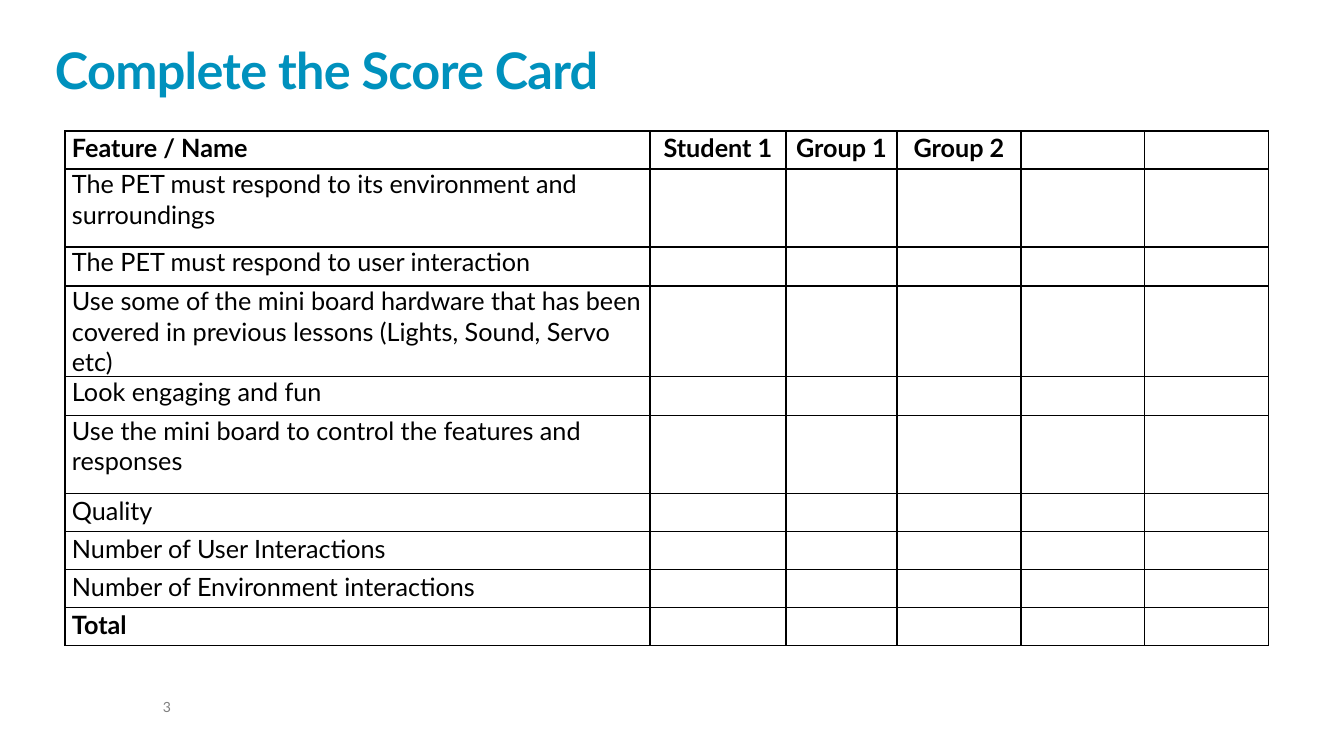
"""Build the score card slide."""
from dataclasses import dataclass

from lxml import etree
from pptx import Presentation
from pptx.dml.color import RGBColor
from pptx.enum.text import MSO_ANCHOR, PP_ALIGN
from pptx.oxml.ns import qn
from pptx.util import Pt

EMU_PER_PX = 914400 / 100.8
LEFT, CENTER = PP_ALIGN.LEFT, PP_ALIGN.CENTER
TOP, BOTTOM = MSO_ANCHOR.TOP, MSO_ANCHOR.BOTTOM

COLS = [585, 136, 111, 124, 124, 124]
HEADINGS = ["Feature / Name", "Student 1", "Group 1", "Group 2"]
FEATURES = [
    ("The PET must respond to its environment and surroundings", 78, 1.0),
    ("The PET must respond to user interaction", 39, 1.0),
    ("Use some of the mini board hardware that has been covered in previous "
     "lessons (Lights, Sound, Servo etc)", 72, 1.0),
    ("Look engaging and fun", 39, 1.0),
    ("Use the mini board to control the features and responses", 78, 1.0),
    ("Quality", 38, 1.07),
    ("Number of User Interactions", 38, 1.07),
    ("Number of Environment interactions", 38, 1.07),
    ("Total", 38, 1.07),
]


@dataclass(frozen=True)
class Theme:
    """Colours, font and type sizes of the deck."""
    font: str = "Lato"
    title: str = "0091BD"
    ink: str = "000000"
    muted: str = "7F7F7F"
    paper: str = "FFFFFF"
    title_size: int = 36
    body_size: int = 18
    number_size: int = 10
    border: int = 1


def px(n):
    """Turn pixels into EMU."""
    return round(n * EMU_PER_PX)


class Deck:
    """Holds the theme and the current slide."""

    def __init__(self, theme, width, height):
        """Open a presentation with one blank slide."""
        self.theme = theme
        self.prs = Presentation()
        self.prs.slide_width, self.prs.slide_height = px(width), px(height)
        self.s = self.prs.slides.add_slide(self.prs.slide_layouts[6])
        fill = self.s.background.fill
        fill.solid()
        fill.fore_color.rgb = RGBColor.from_string(theme.paper)

    def style(self, p, size, color, bold=False, align=LEFT, spacing=1.0, after=0):
        """Set the font and spacing of a paragraph."""
        p.alignment, p.line_spacing = align, spacing
        p.space_before, p.space_after = Pt(0), Pt(after)
        f = p.font
        f.name, f.size, f.bold = self.theme.font, Pt(size), bold
        f.color.rgb = RGBColor.from_string(color)

    def text(self, box, text, size, color, anchor=TOP, tracking=0, **style):
        """Add a text box without margins."""
        tf = self.s.shapes.add_textbox(*map(px, box)).text_frame
        tf.word_wrap, tf.vertical_anchor = True, anchor
        tf.margin_left = tf.margin_right = tf.margin_top = tf.margin_bottom = 0
        p = tf.paragraphs[0]
        r = p.add_run()
        r.text = text
        if tracking:
            r._r.get_or_add_rPr().set("spc", str(tracking))
        self.style(p, size, color, **style)

    def borders(self, cell):
        """Draw a solid line on all four sides of a cell."""
        tcPr = cell._tc.get_or_add_tcPr()
        for i, side in enumerate(("a:lnL", "a:lnR", "a:lnT", "a:lnB")):
            ln = etree.Element(qn(side), w=str(Pt(self.theme.border)))
            fill = etree.SubElement(ln, qn("a:solidFill"))
            etree.SubElement(fill, qn("a:srgbClr"), val=self.theme.ink)
            tcPr.insert(i, ln)

    def cell(self, cell, text, **style):
        """Fill, frame and write one table cell."""
        cell.fill.background()
        cell.margin_left = cell.margin_right = px(7)
        cell.margin_top = cell.margin_bottom = 0
        self.borders(cell)
        p = cell.text_frame.paragraphs[0]
        if text:
            p.add_run().text = text
        self.style(p, self.theme.body_size, self.theme.ink, **style)

    def table(self, left, top, cols, rows):
        """Add a table from rows of (texts, height, line spacing)."""
        height = sum(row[1] for row in rows)
        box = map(px, (left, top, sum(cols), height))
        table = self.s.shapes.add_table(len(rows), len(cols), *box).table
        table.horz_banding = False
        for col, width in zip(table.columns, cols):
            col.width = px(width)
        last = len(rows) - 1
        for i, (texts, row_height, spacing) in enumerate(rows):
            table.rows[i].height = px(row_height)
            for j in range(len(cols)):
                self.cell(table.cell(i, j), texts[j] if j < len(texts) else "",
                          bold=i in (0, last), align=CENTER if j else LEFT,
                          spacing=spacing, after=8 if i == last and j == 0 else 0)


def main():
    """Build and save the slide."""
    theme = Theme()
    deck = Deck(theme, 1344, 756)
    deck.text((163, 700, 120, 15), "3", theme.number_size, theme.muted,
              spacing=0.9, after=6)
    deck.text((55, 26, 1233, 74), "Complete the Score Card", theme.title_size,
              theme.title, anchor=BOTTOM, tracking=-50, bold=True, spacing=0.85)
    rows = [(HEADINGS, 38, 1.07)]
    rows += [([text], height, spacing) for text, height, spacing in FEATURES]
    deck.table(65, 131, COLS, rows)
    deck.prs.save("out.pptx")


if __name__ == "__main__":
    main()
